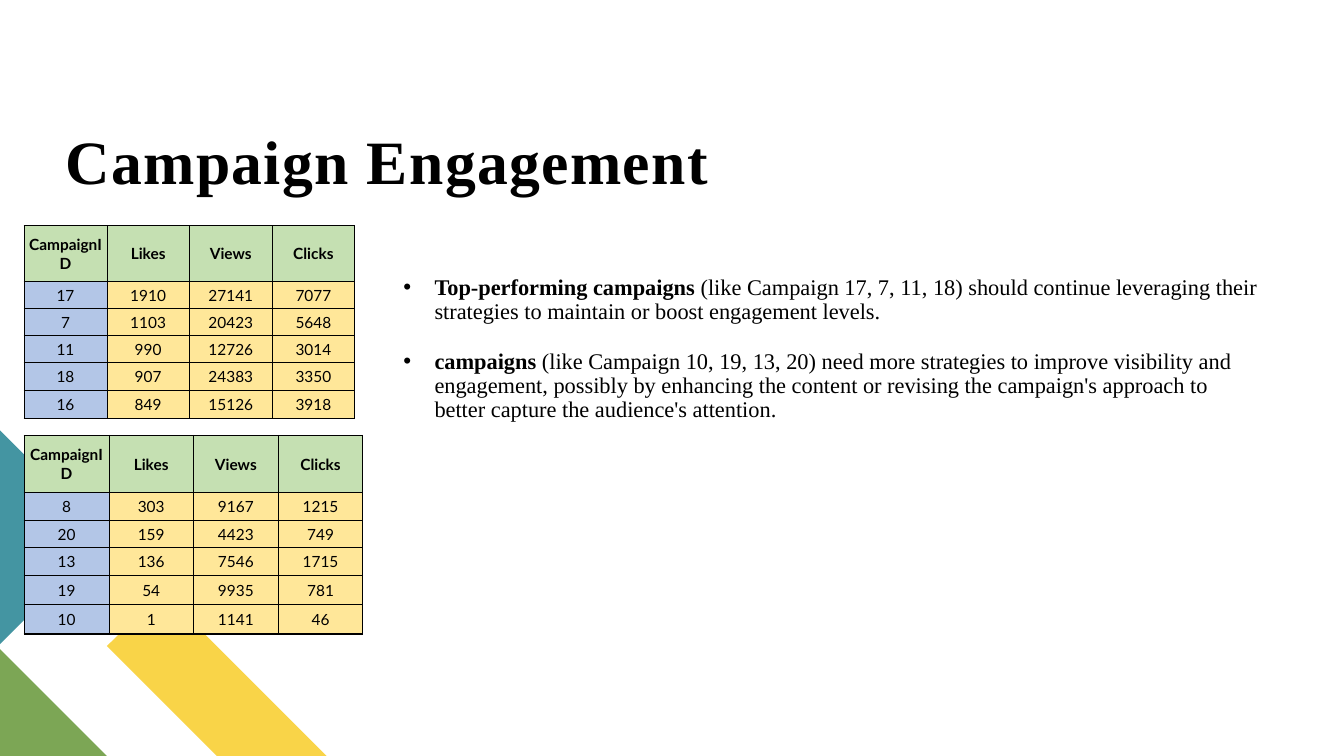
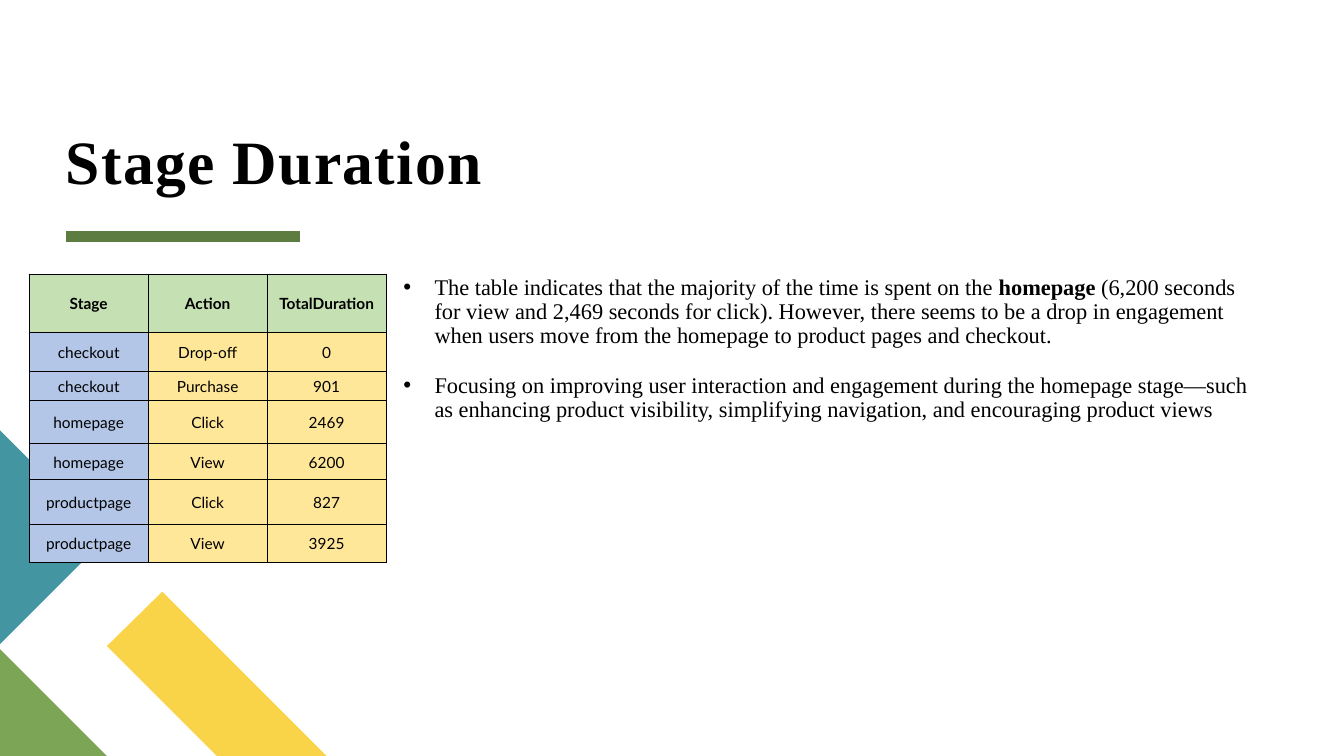
"""Build two campaign report slides: engagement tables and stage durations."""
from lxml import etree
from pptx import Presentation
from pptx import util as u
from pptx.dml.color import RGBColor
from pptx.enum import shapes, text
from pptx.oxml import ns

PX = 9144
SERIF, SANS = "Times New Roman", "Lato"
BLACK, RULE_GREEN = "000000", "5D7D40"
HEADER_FILL, KEY_FILL, VALUE_FILL = "C5E0B2", "B3C6E7", "FFE799"

RIBBONS = [
    ("F9D448", [(324, 750), (215, 750), (106, 641), (161, 587)]),
    ("7CA655", [(106, 750), (0, 750), (0, 644)]),
    ("4495A2", [(0, 427), (106, 533), (0, 639)]),
]

CAMPAIGN_HEADER = ["CampaignID", "Likes", "Views", "Clicks"]
SLIDES = [
    {
        "title": "Campaign Engagement",
        "points": [
            [("Top-performing campaigns", True),
             (" (like Campaign 17, 7, 11, 18) should continue leveraging their "
              "strategies to maintain or boost engagement levels.", False)],
            [("campaigns", True),
             (" (like Campaign 10, 19, 13, 20) need more strategies to improve "
              "visibility and engagement, possibly by enhancing the content or "
              "revising the campaign's approach to better capture the audience's "
              "attention.", False)],
        ],
        "tables": [
            {"left": 24, "top": 224, "column": 82,
             "heights": [55, 27, 27, 27, 27, 28],
             "rows": [CAMPAIGN_HEADER,
                      [17, 1910, 27141, 7077],
                      [7, 1103, 20423, 5648],
                      [11, 990, 12726, 3014],
                      [18, 907, 24383, 3350],
                      [16, 849, 15126, 3918]]},
            {"left": 24, "top": 432, "column": 84,
             "heights": [56, 28, 27, 28, 29, 29],
             "rows": [CAMPAIGN_HEADER,
                      [8, 303, 9167, 1215],
                      [20, 159, 4423, 749],
                      [13, 136, 7546, 1715],
                      [19, 54, 9935, 781],
                      [10, 1, 1141, 46]]},
        ],
    },
    {
        "title": "Stage Duration",
        "points": [
            [("The table indicates that the majority of the time is spent on the ", False),
             ("homepage", True),
             (" (6,200 seconds for view and 2,469 seconds for click). However, "
              "there seems to be a drop in engagement when users move from the "
              "homepage to product pages and checkout.", False)],
            [("Focusing on improving user interaction and engagement during the "
              "homepage stage—such as enhancing product visibility, simplifying "
              "navigation, and encouraging product views", False)],
        ],
        "tables": [
            {"left": 29, "top": 272, "column": 118,
             "heights": [58, 38, 29, 43, 36, 44, 38],
             "rows": [["Stage", "Action", "TotalDuration"],
                      ["checkout", "Drop-off", 0],
                      ["checkout", "Purchase", 901],
                      ["homepage", "Click", 2469],
                      ["homepage", "View", 6200],
                      ["productpage", "Click", 827],
                      ["productpage", "View", 3925]]},
        ],
    },
]


def color(value):
    return RGBColor.from_string(value)


def write(paragraph, words, font=SERIF, size=16, bold=False, spacing=0):
    run = paragraph.add_run()
    run.text = words
    run.font.name = font
    run.font.size = u.Pt(size)
    run.font.bold = bold
    run.font.color.rgb = color(BLACK)
    if spacing:
        run.font._element.set("spc", str(spacing * 100))


deck = Presentation()
deck.slide_width, deck.slide_height = 1333 * PX, 750 * PX

for content in SLIDES:
    slide = deck.slides.add_slide(deck.slide_layouts[6])

    rule = slide.shapes.add_connector(
        shapes.MSO_CONNECTOR.STRAIGHT, 65 * PX, 235 * PX, 298 * PX, 235 * PX)
    rule.line.color.rgb = color(RULE_GREEN)
    rule.line.width = u.Pt(8)
    etree.SubElement(rule._element.spPr, ns.qn("a:effectLst"))

    title = slide.shapes.add_textbox(65 * PX, 11 * PX, 1189 * PX, 184 * PX).text_frame
    title.vertical_anchor = text.MSO_ANCHOR.BOTTOM
    body = slide.shapes.add_textbox(400 * PX, 249 * PX, 854 * PX, 270 * PX).text_frame
    for frame, top_margin in ((title, 0), (body, 25)):
        frame.word_wrap = True
        frame.margin_left = frame.margin_right = frame.margin_bottom = 0
        frame.margin_top = top_margin * PX

    title.paragraphs[0].line_spacing = 0.8
    write(title.paragraphs[0], content["title"], size=44, bold=True, spacing=1)

    for index, point in enumerate(content["points"]):
        paragraph = body.add_paragraph() if index else body.paragraphs[0]
        paragraph.line_spacing = 0.9
        paragraph.space_before = u.Pt(18)
        properties = paragraph._p.get_or_add_pPr()
        properties.set("marL", str(31 * PX))
        properties.set("indent", str(-31 * PX))
        etree.SubElement(properties, ns.qn("a:buFont"), typeface="Arial")
        etree.SubElement(properties, ns.qn("a:buChar"), char="•")
        for words, bold in point:
            write(paragraph, words, bold=bold)

    for fill, corners in RIBBONS:
        outline = slide.shapes.build_freeform(*corners[0], scale=PX)
        outline.add_line_segments(corners[1:], close=True)
        ribbon = outline.convert_to_shape()
        ribbon.shadow.inherit = False
        ribbon.fill.solid()
        ribbon.fill.fore_color.rgb = color(fill)
        ribbon.line.fill.background()

    for data in content["tables"]:
        rows, heights = data["rows"], data["heights"]
        last_row, last_column = len(rows) - 1, len(rows[0]) - 1
        table = slide.shapes.add_table(
            len(rows), len(rows[0]), data["left"] * PX, data["top"] * PX,
            data["column"] * len(rows[0]) * PX, sum(heights) * PX).table
        table.first_row = table.horz_banding = False
        for column in table.columns:
            column.width = data["column"] * PX
        for r, values in enumerate(rows):
            table.rows[r].height = heights[r] * PX
            for c, value in enumerate(values):
                cell = table.cell(r, c)
                cell.vertical_anchor = text.MSO_ANCHOR.MIDDLE
                cell.margin_left = cell.margin_right = cell.margin_top = PX
                cell.margin_bottom = 0
                edges = {"lnL": c == 0, "lnR": c == last_column,
                         "lnT": r == 0, "lnB": r == last_row}
                for side, is_outer in edges.items():
                    border = etree.SubElement(
                        cell._tc.get_or_add_tcPr(), ns.qn("a:" + side),
                        w=str(u.Pt(1 if is_outer else 0.5)))
                    ink = etree.SubElement(border, ns.qn("a:solidFill"))
                    etree.SubElement(ink, ns.qn("a:srgbClr"), val=BLACK)
                cell.fill.solid()
                cell.fill.fore_color.rgb = color(
                    HEADER_FILL if r == 0 else KEY_FILL if c == 0 else VALUE_FILL)
                paragraph = cell.text_frame.paragraphs[0]
                paragraph.alignment = text.PP_ALIGN.CENTER
                write(paragraph, str(value), font=SANS, size=11, bold=r == 0)

deck.save("out.pptx")
